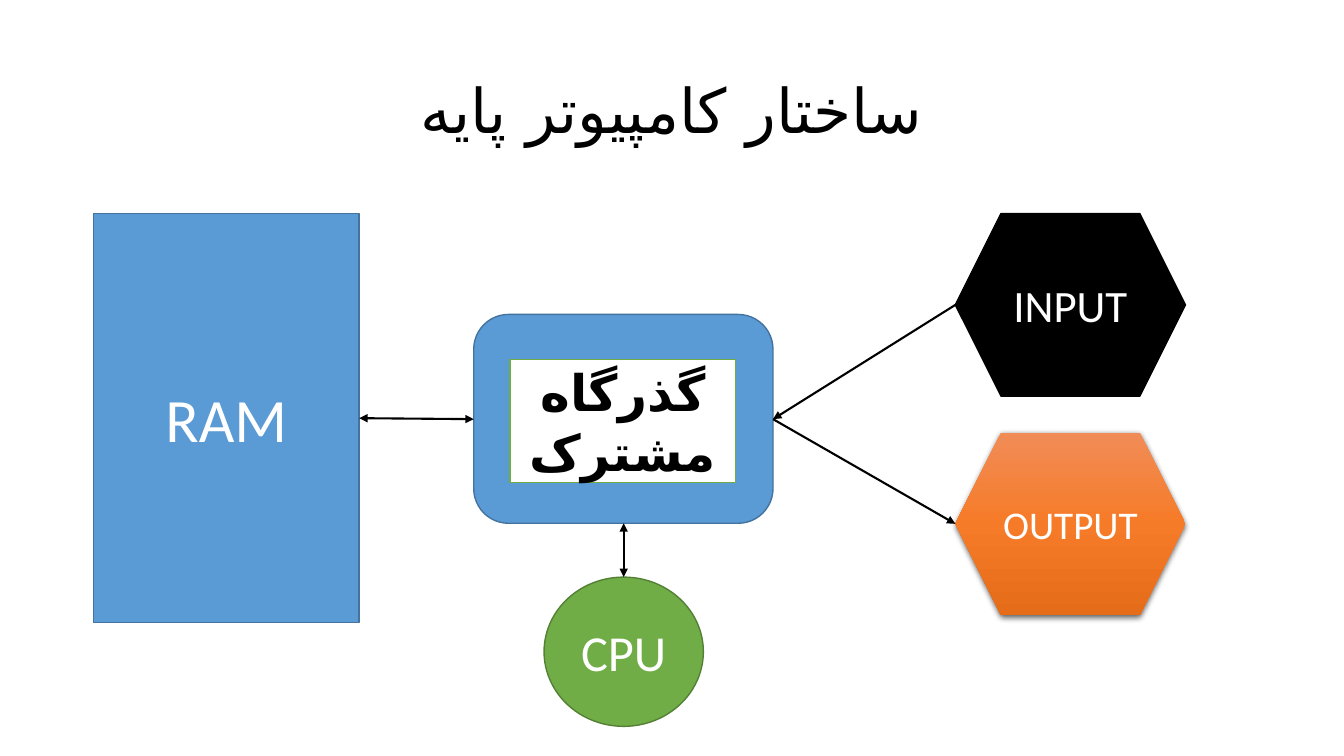
from copy import deepcopy
from lxml.etree import SubElement
from pptx import Presentation
from pptx.dml.color import RGBColor
from pptx.enum.shapes import MSO_CONNECTOR, MSO_SHAPE
from pptx.enum.text import MSO_ANCHOR, PP_ALIGN
from pptx.oxml.ns import qn
from pptx.util import Pt

COLORS = {
    "black": "000000", "white": "FFFFFF",
    "blue": "5B9BD5", "blue_edge": "43739E",
    "green": "70AD47", "green_edge": "538035",
    "orange_top": "F18C57", "orange_mid": "F67B28", "orange_low": "E56C19",
}


def rgb(name):
    return RGBColor.from_string(COLORS[name])


def write(s, text, size, color, bold=False):
    tf = s.text_frame
    tf.word_wrap = True
    tf.vertical_anchor = MSO_ANCHOR.MIDDLE
    p = tf.paragraphs[0]
    p.alignment = PP_ALIGN.CENTER
    r = p.add_run()
    r.text = text
    for name, value in {"name": "Calibri", "size": Pt(size), "bold": bold}.items():
        setattr(r.font, name, value)
    r.font.color.rgb = rgb(color)
    if not text.isascii():
        rPr = r._r.get_or_add_rPr()
        rPr.set("lang", "fa-IR")
        SubElement(rPr, qn("a:cs"), typeface="DejaVu Sans")
    return p


prs = Presentation()
prs.slide_width, prs.slide_height = Pt(960), Pt(540)
slide = prs.slides.add_slide(prs.slide_layouts[6])

title = slide.shapes.add_textbox(Pt(66), Pt(28.8), Pt(828), Pt(104.4))
p = write(title, "ساختار کامپیوتر پایه", 44, "black")
p.line_spacing = 0.9
p._p.get_or_add_pPr().set("rtl", "1")

top, hex_left, hex_w, hex_h = 152.6, 682.4, 164.4, 130.4
output_top = 309
nodes = [
    (MSO_SHAPE.ROUNDED_RECTANGLE, (338.4, 224.6, 213.8, 149.2), "blue", "blue_edge", None),
    (MSO_SHAPE.RECTANGLE, (364.4, 257, 161.2, 87.8), "white", "green",
     ("گذرگاه مشترک", 36, "black", True)),
    (MSO_SHAPE.RECTANGLE, (66.8, top, 189.8, 292.2), "blue", "blue_edge", ("RAM", 44, "white")),
    (MSO_SHAPE.OVAL, (388.6, 412.2, 113.8, 106.6), "green", "green_edge", ("CPU", 36, "white")),
    (MSO_SHAPE.HEXAGON, (hex_left, top, hex_w, hex_h), "black", "black", ("INPUT", 32, "white")),
    (MSO_SHAPE.HEXAGON, (hex_left, output_top, hex_w, hex_h), None, None, ("OUTPUT", 28, "white")),
]
for kind, box, fill, edge, label in nodes:
    s = slide.shapes.add_shape(kind, *map(Pt, box))
    s.shadow.inherit = False
    if fill:
        s.fill.solid()
        s.fill.fore_color.rgb = rgb(fill)
        s.line.color.rgb = rgb(edge)
        s.line.width = Pt(1)
    else:
        s.line.fill.background()
        s.fill.gradient()
        s.fill.gradient_angle = 270
        stops = s._element.spPr.find(qn("a:gradFill")).find(qn("a:gsLst"))
        stops.append(deepcopy(stops[-1]))
        ramp = ("orange_top", "orange_mid", "orange_low")
        for i, (stop, color) in enumerate(zip(s.fill.gradient_stops, ramp)):
            stop.position = i / 2
            stop.color.rgb = rgb(color)
        effects = s._element.spPr.find(qn("a:effectLst"))
        shadow = SubElement(effects, qn("a:outerShdw"), blurRad=str(Pt(4.5)),
                            dist=str(Pt(1.5)), dir="5400000", algn="ctr", rotWithShape="0")
        tint = SubElement(shadow, qn("a:srgbClr"), val=COLORS["black"])
        SubElement(tint, qn("a:alpha"), val="63000")
    if label:
        write(s, *label)

bus_x, bus_right, bus_y, bus_bottom = 445.5, 552.2, 299.4, 373.8
links = [
    ((bus_x, bus_bottom), (bus_x, 412.2), ("headEnd", "tailEnd")),
    ((256.6, 298.7), (338.4, bus_y), ("headEnd", "tailEnd")),
    ((hex_left, top + hex_h / 2), (bus_right, bus_y), ("tailEnd",)),
    ((bus_right, bus_y), (hex_left, output_top + hex_h / 2), ("tailEnd",)),
]
for start, end, arrows in links:
    s = slide.shapes.add_connector(MSO_CONNECTOR.STRAIGHT, *map(Pt, start + end))
    s.line.color.rgb = rgb("black")
    s.line.width = Pt(1.5)
    for arrow in arrows:
        SubElement(s.line._get_or_add_ln(), qn("a:" + arrow), type="triangle")
    SubElement(s._element.spPr, qn("a:effectLst"))

prs.save("out.pptx")
